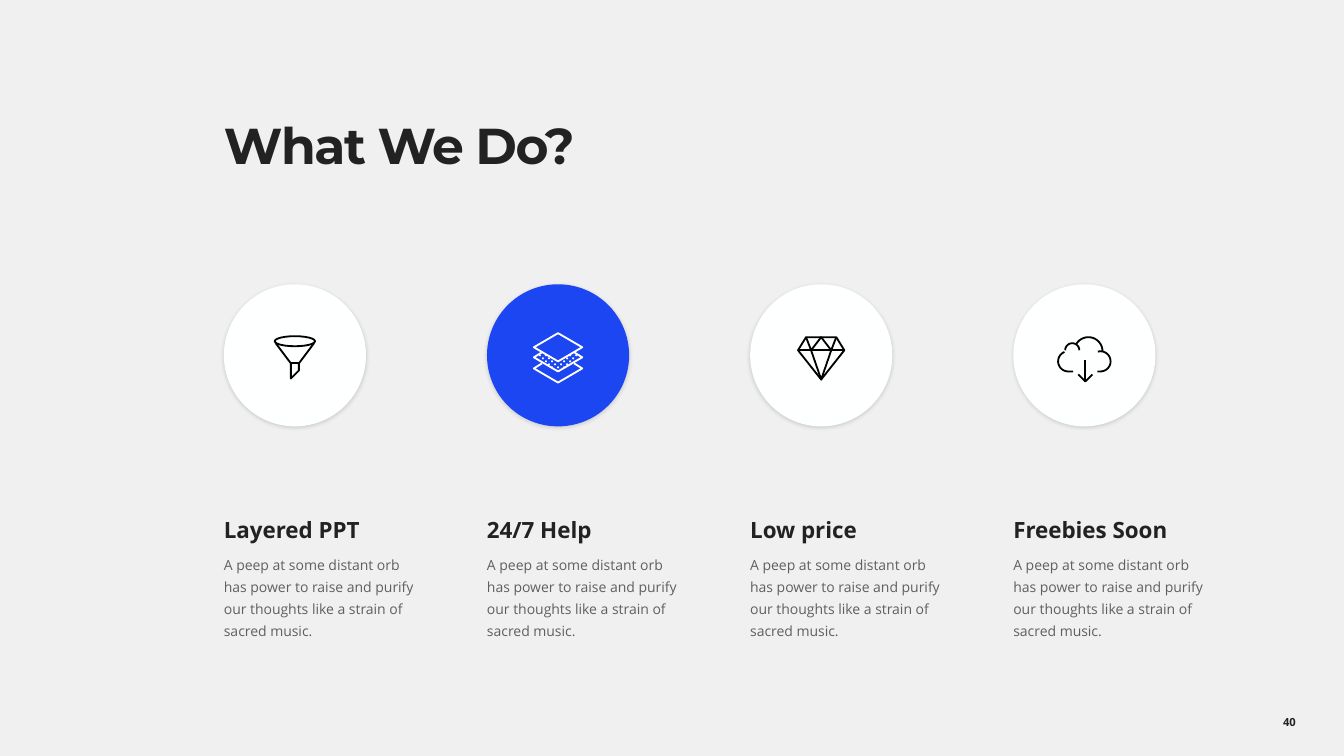
import math

from lxml import etree
from pptx import Presentation
from pptx.dml.color import RGBColor
from pptx.enum.shapes import MSO_SHAPE
from pptx.enum.text import MSO_ANCHOR, MSO_AUTO_SIZE, PP_ALIGN
from pptx.oxml.ns import qn
from pptx.util import Emu, Inches, Pt

OVAL = MSO_SHAPE.OVAL
TOP, MIDDLE = MSO_ANCHOR.TOP, MSO_ANCHOR.MIDDLE
LEFT, CENTER = PP_ALIGN.LEFT, PP_ALIGN.CENTER
GROW, FIXED = MSO_AUTO_SIZE.SHAPE_TO_FIT_TEXT, MSO_AUTO_SIZE.NONE

GREY = RGBColor(0xF0, 0xF0, 0xF0)
INK = RGBColor(0x22, 0x22, 0x22)
BLUE = RGBColor(0x1D, 0x46, 0xF3)
SNOW = RGBColor(0xFE, 0xFF, 0xFF)
WHITE = RGBColor(0xFF, 0xFF, 0xFF)
BLACK = RGBColor(0, 0, 0)

HEADING_FONT, BODY_FONT = "Montserrat", "Open Sans"

# Grid, in inches
SLIDE_WIDTH, SLIDE_HEIGHT = 13.33, 7.5
FIRST_COLUMN, COLUMN_STEP, COLUMN_WIDTH = 2.22, 2.61, 2.15
CIRCLE_TOP, CIRCLE_SIZE = 2.82, 1.41
CAPTION_TOP, CAPTION_HEIGHT = 5.08, 1.29
ICON_STROKE = 1.3
DOT_STEP, DOT_RADIUS = 0.03, 0.01

BLURB = ("A peep at some distant orb has power to raise and purify "
         "our thoughts like a strain of sacred music.")


def arc(x, y, radius_x, radius_y, start, end, steps=24):
    """Points along an ellipse, clockwise, with angles in degrees."""
    angles = [math.radians(start + (end - start) * i / steps)
              for i in range(steps + 1)]
    return [(x + radius_x * math.cos(a), y + radius_y * math.sin(a))
            for a in angles]


def mirrored(points):
    """Left half of an outline, followed by its reflection on the right."""
    return points + [(-x, y) for x, y in reversed(points) if x]


# Icon strokes, in inches from the centre of the circle
FUNNEL = [
    arc(0, -0.14, 0.2, 0.05, 0, 360),
    [(-0.19, -0.12), (-0.04, 0.08), (-0.04, 0.23),
     (0.04, 0.15), (0.04, 0.08), (0.19, -0.12)],
    [(-0.04, 0.08), (0.04, 0.08)],
]
LAYERS = [
    mirrored([(0, -0.22), (-0.24, -0.08), (0, 0.06)]) + [(0, -0.22)],
    mirrored([(-0.16, -0.03), (-0.24, 0.02), (0, 0.16)]),
    mirrored([(-0.16, 0.08), (-0.24, 0.13), (0, 0.27)]),
]
LAYER_DOTS = [
    arc(column * DOT_STEP, row * DOT_STEP, DOT_RADIUS, DOT_RADIUS, 0, 360, 8)
    for row in range(5) for column in range(-6, 7)
    if abs(column) + row in (4, 6)
]
DIAMOND = [
    mirrored([(0, 0.24), (-0.23, -0.05), (-0.15, -0.18)]) + [(0, 0.24)],
    mirrored([(-0.23, -0.05)]),
    mirrored([(-0.15, -0.18), (-0.1, -0.05), (0, -0.18)]),
    mirrored([(-0.1, -0.05), (0, 0.24)]),
]
CLOUD = [
    [(-0.11, 0.16)] + arc(-0.16, 0.06, 0.1, 0.1, 90, 248),
    arc(-0.12, -0.05, 0.07, 0.07, 180, 360),
    arc(0.04, -0.04, 0.14, 0.14, 212, 360),
    arc(0.16, 0.06, 0.1, 0.1, 255, 450) + [(0.13, 0.16)],
    [(0.01, 0.05), (0.01, 0.26)],
    [(-0.06, 0.19), (0.01, 0.26), (0.08, 0.19)],
]

SERVICES = [
    ("Layered PPT", FUNNEL, [], SNOW, BLACK),
    ("24/7 Help", LAYERS, LAYER_DOTS, BLUE, WHITE),
    ("Low price", DIAMOND, [], SNOW, BLACK),
    ("Freebies Soon", CLOUD, [], SNOW, BLACK),
]


def add_text(slide, left, top, width, height, paragraphs, insets=(0, 0, 0, 0),
             anchor=TOP, align=LEFT, fit=FIXED):
    """Add a text box; each paragraph is a pair of words and format options."""
    box = slide.shapes.add_textbox(Inches(left), Inches(top),
                                   Inches(width), Inches(height))
    frame = box.text_frame
    frame.word_wrap = True
    frame.auto_size = fit
    frame.vertical_anchor = anchor
    (frame.margin_left, frame.margin_top,
     frame.margin_right, frame.margin_bottom) = map(Inches, insets)
    for index, (words, options) in enumerate(paragraphs):
        para = frame.add_paragraph() if index else frame.paragraphs[0]
        para.alignment = align
        write(para, words, **options)


def write(para, words, size, font=BODY_FONT, bold=False, opacity=100,
          spacing=0, line=1, before=0):
    para.line_spacing = line
    para.space_before = Pt(before)
    span = para.add_run()
    span.text = words
    span.font.name = font
    span.font.size = Pt(size)
    span.font.bold = bold
    span.font.color.rgb = INK
    properties = span.font._element
    if spacing:
        properties.set("spc", str(spacing * 100))
    if opacity < 100:
        color = properties.find(".//" + qn("a:srgbClr"))
        etree.SubElement(color, qn("a:alpha"), val=str(opacity * 1000))


def add_circle(slide, left, color):
    circle = slide.shapes.add_shape(OVAL, Inches(left), Inches(CIRCLE_TOP),
                                    Inches(CIRCLE_SIZE), Inches(CIRCLE_SIZE))
    circle.fill.solid()
    circle.fill.fore_color.rgb = color
    circle.line.fill.background()
    circle.shadow.inherit = False
    effects = circle._element.spPr.find(qn("a:effectLst"))
    shadow = etree.SubElement(effects, qn("a:outerShdw"), blurRad=str(Pt(3)),
                              dist=str(Pt(1)), dir="5400000", algn="t",
                              rotWithShape="0")
    color_node = etree.SubElement(shadow, qn("a:srgbClr"), val=str(BLACK))
    etree.SubElement(color_node, qn("a:alpha"), val="15000")


def add_icon(slide, center_x, center_y, contours, color, filled=False):
    """Draw all contours as one shape, either stroked or filled."""
    contours = [[(Inches(center_x + x), Inches(center_y + y)) for x, y in contour]
                for contour in contours]
    builder = slide.shapes.build_freeform(*contours[0][0], scale=1.0)
    for index, contour in enumerate(contours):
        if index:
            builder.move_to(*contour[0])
        closed = contour[0] == contour[-1]
        builder.add_line_segments(contour[1:], close=closed)
    icon = builder.convert_to_shape(Emu(0), Emu(0))
    icon.shadow.inherit = False
    if filled:
        icon.fill.solid()
        icon.fill.fore_color.rgb = color
        icon.line.fill.background()
    else:
        icon.fill.background()
        icon.line.color.rgb = color
        icon.line.width = Pt(ICON_STROKE)


def add_service(slide, column, title, strokes, dots, circle_color, icon_color):
    left = FIRST_COLUMN + column * COLUMN_STEP
    center = (left + CIRCLE_SIZE / 2, CIRCLE_TOP + CIRCLE_SIZE / 2)
    add_circle(slide, left, circle_color)
    add_icon(slide, *center, strokes, icon_color)
    if dots:
        add_icon(slide, *center, dots, icon_color, filled=True)
    add_text(slide, left, CAPTION_TOP, COLUMN_WIDTH, CAPTION_HEIGHT,
             [(title, dict(size=16, bold=True)),
              (BLURB, dict(size=10, opacity=70, line=1.3, before=6))],
             insets=(0, 0.04, 0.24, 0.04), fit=GROW)


def main():
    deck = Presentation()
    deck.slide_width, deck.slide_height = Inches(SLIDE_WIDTH), Inches(SLIDE_HEIGHT)
    slide = deck.slides.add_slide(deck.slide_layouts[6])
    slide.background.fill.solid()
    slide.background.fill.fore_color.rgb = GREY

    add_text(slide, FIRST_COLUMN, 1.04, 10.01, 1.37,
             [("What We Do?", dict(size=36, font=HEADING_FONT, bold=True,
                                   spacing=-1, line=0.8))],
             insets=(0, 0.21, 0, 0))
    for column, service in enumerate(SERVICES):
        add_service(slide, column, *service)
    add_text(slide, 12.24, 6.96, 1.1, 0.4, [("40", dict(size=8, bold=True))],
             anchor=MIDDLE, align=CENTER)
    deck.save("out.pptx")


if __name__ == "__main__":
    main()
